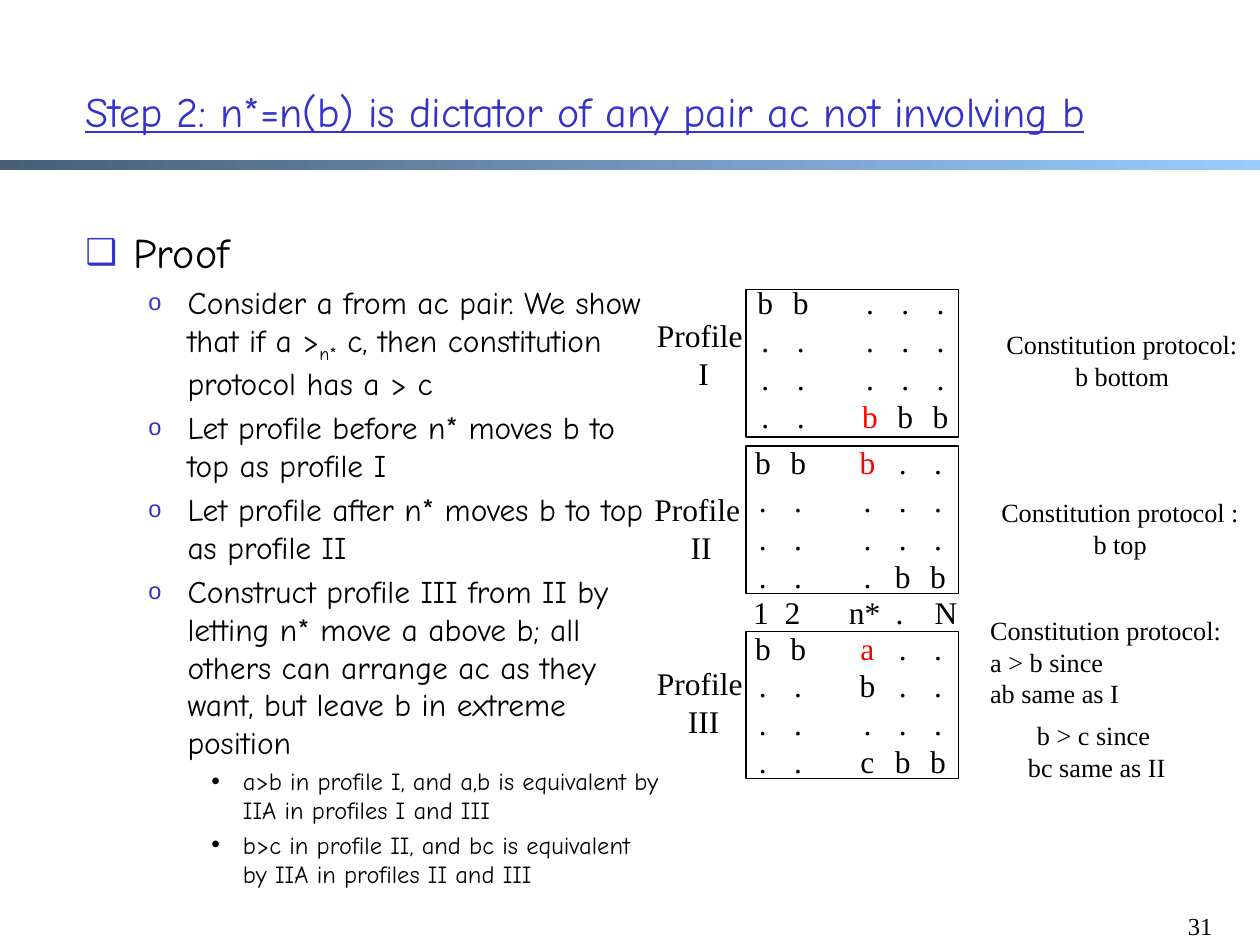
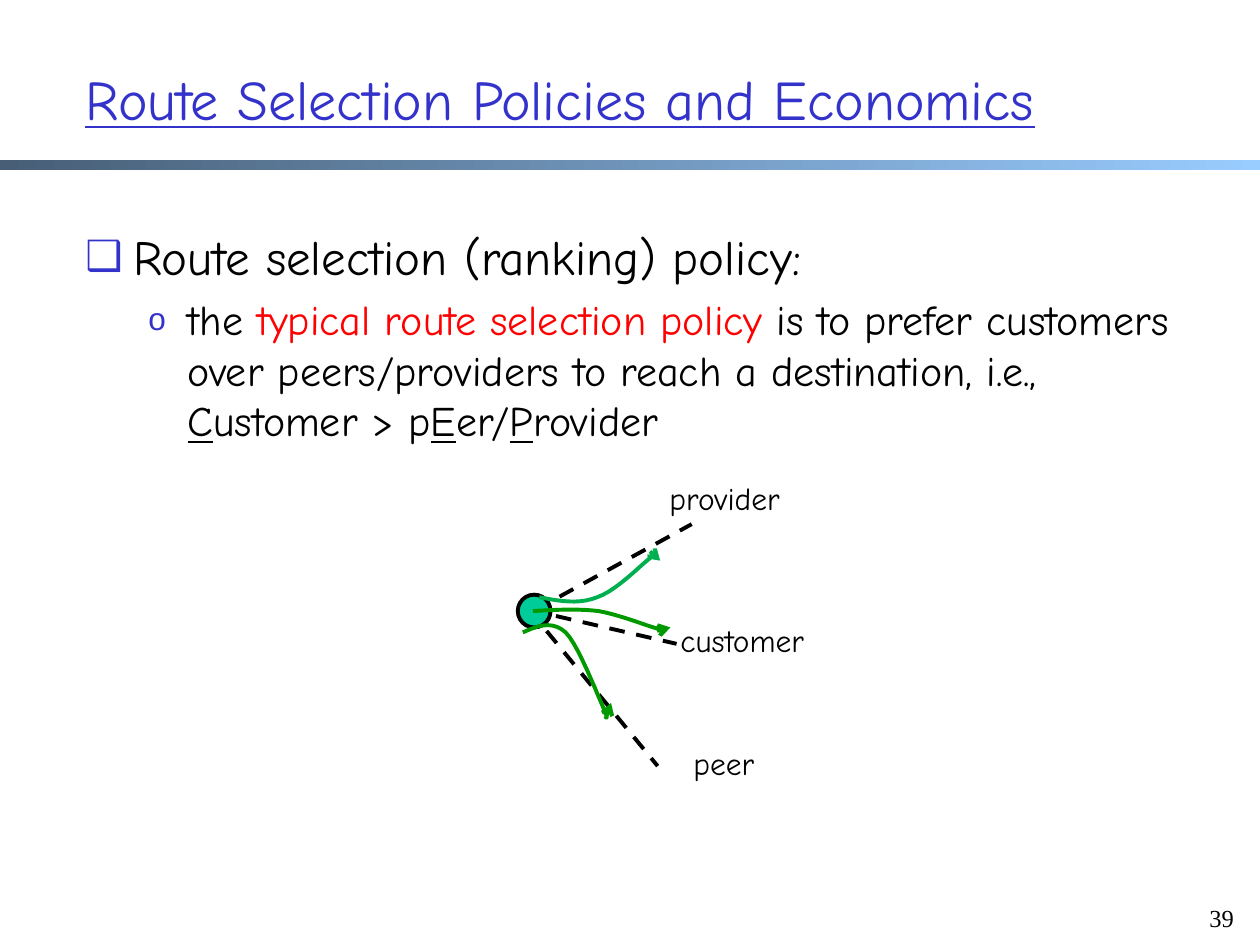
"""Build two lecture slides: a dictator proof and route selection policies."""
from lxml.etree import SubElement
from pptx import Presentation
from pptx.dml.color import RGBColor
from pptx.enum.dml import MSO_LINE
from pptx.enum.shapes import MSO_CONNECTOR, MSO_SHAPE
from pptx.enum.text import MSO_ANCHOR, MSO_AUTO_SIZE, PP_ALIGN
from pptx.oxml.ns import qn
from pptx.util import Inches, Pt

BLUE = RGBColor(0x33, 0x33, 0xCC)
BLACK = RGBColor(0, 0, 0)
RED = RGBColor(0xFF, 0, 0)
TEAL = RGBColor(0, 0xCC, 0x99)
GREEN = RGBColor(0, 0x99, 0)
LIGHT_GREEN = RGBColor(0, 0xB0, 0x50)
BAND_COLORS = (RGBColor(0x47, 0x5E, 0x76), RGBColor(0x99, 0xCC, 0xFF))
HAND, SERIF = "Comic Neue", "Times New Roman"
LEFT, CENTER, RIGHT = PP_ALIGN.LEFT, PP_ALIGN.CENTER, PP_ALIGN.RIGHT

BULLETS = [
    {"char": "❑", "margin": 0.38, "indent": -0.38, "percent": 85, "color": BLUE},
    {"char": "o", "margin": 0.81, "indent": -0.31, "percent": 75, "color": BLUE},
    {"char": "•", "margin": 1.25, "indent": -0.25, "percent": 100, "color": BLACK},
]

PROOF = [
    (0, 24, [("Proof", {})]),
    (1, 18, [("Consider a from ac pair. We show that if a >", {}),
             ("n*", {"baseline": -25}),
             (" c, then constitution protocol has a > c", {})]),
    (1, 18, [("Let profile before n* moves b to top as profile I", {})]),
    (1, 18, [("Let profile after n* moves b to top as profile II", {})]),
    (1, 18, [("Construct profile III from II by letting n* move a above b; all others "
              "can arrange ac as they want, but leave b in extreme position", {})]),
    (2, 14, [("a>b in profile I, and a,b is equivalent by IIA in profiles I and III", {})]),
    (2, 14, [("b>c in profile II, and bc is equivalent by IIA in profiles II and III", {})]),
]

POLICY = [
    (0, 28, [("Route selection (ranking) policy:", {})]),
    (1, 24, [("the ", {}),
             ("typical route selection policy", {"color": RED}),
             (" is to prefer customers over peers/providers to reach a destination, i.e., ", {}),
             ("C", {"underline": True}), ("ustomer > p", {}),
             ("E", {"underline": True}), ("er/", {}),
             ("P", {"underline": True}), ("rovider", {})]),
]

COLUMN_OFFSETS = (0, 0.28, 0.83, 1.11, 1.39)
PIVOT_COLUMN = 2
PROFILES = [
    {"name": "I", "label": (5.11, 2.46), "cells": (5.91, 2.2), "frame_top": 2.3,
     "columns": ("b...", "b...", "...b", "...b", "...b"), "red_row": 3},
    {"name": "II", "label": (5.09, 3.84), "cells": (5.89, 3.47), "frame_top": 3.54,
     "columns": ("b...", "b...", "b...", "...b", "...b"), "red_row": 0},
    {"name": "III", "label": (5.11, 5.22), "cells": (5.89, 4.94), "frame_top": 5.01,
     "columns": ("b...", "b...", "ab.c", "...b", "...b"), "red_row": 0},
]
VOTERS = "1\t2\tn*\t.\tN"
VOTER_TABS = (0.25, 0.76, 1.13, 1.44)
PROTOCOLS = [
    ((7.88, 2.56, 2.05, 0.61), CENTER, ("Constitution protocol:", "b bottom")),
    ((7.84, 3.89, 2.1, 0.61), CENTER, ("Constitution protocol :", "b top")),
    ((7.76, 4.83, 2.05, 0.86), LEFT,
     ("Constitution protocol:", "a > b since ", "ab same as I")),
    ((7.69, 5.66, 2.03, 0.61), CENTER, ("b > c since ", "bc same as II")),
]

LINKS = [((4.25, 4.84), (5.49, 4.16)), ((4.2, 4.84), (5.37, 5.11)), ((4.2, 4.84), (5.22, 6.08))]
NEIGHBORS = [("provider", (5.16, 3.75, 1.18, 0.4)), ("customer", (5.25, 4.88, 1.28, 0.4)),
             ("peer", (5.38, 5.86, 0.73, 0.4))]
ROUTES = [
    (GREEN, [(4.23, 4.85), (4.41, 4.84), (4.58, 4.83), (4.75, 4.85), (4.92, 4.88),
             (5.14, 4.97), (5.22, 4.99), (5.31, 5.02), (5.24, 5.01), (5.26, 5.01),
             (5.28, 5.01), (5.28, 4.99), (5.32, 4.98)]),
    (LIGHT_GREEN, [(4.28, 4.74), (4.44, 4.77), (4.59, 4.8), (4.74, 4.74), (4.89, 4.69),
                   (5.08, 4.49), (5.16, 4.43), (5.23, 4.37), (5.17, 4.39), (5.19, 4.39),
                   (5.2, 4.4), (5.21, 4.42), (5.24, 4.45)]),
    (GREEN, [(4.15, 5.02), (4.26, 4.97), (4.38, 4.92), (4.49, 5.02), (4.59, 5.12),
             (4.74, 5.51), (4.79, 5.62), (4.84, 5.73), (4.8, 5.69), (4.81, 5.69),
             (4.82, 5.68), (4.83, 5.63), (4.85, 5.58)]),
]
CURVE_STEPS = 10


def add_run(paragraph, text, size, font=SERIF, color=BLACK, underline=False, baseline=0):
    run = paragraph.add_run()
    run.text = text
    run.font.size, run.font.name = Pt(size), font
    run.font.color.rgb = color
    if underline:
        run.font.underline = True
    if baseline:
        run._r.get_or_add_rPr().set("baseline", str(baseline * 1000))


def add_frame(slide, box, wrap=True):
    frame = slide.shapes.add_textbox(*map(Inches, box)).text_frame
    frame.word_wrap = wrap
    return frame


def next_paragraph(frame, index):
    return frame.add_paragraph() if index else frame.paragraphs[0]


def add_label(slide, box, lines, size=18, font=SERIF, align=CENTER, wrap=False, red_row=None):
    frame = add_frame(slide, box, wrap)
    frame.auto_size = MSO_AUTO_SIZE.SHAPE_TO_FIT_TEXT
    for row, line in enumerate(lines):
        paragraph = next_paragraph(frame, row)
        paragraph.alignment = align
        add_run(paragraph, line, size, font, RED if row == red_row else BLACK)
    return frame


def set_bullet(paragraph, bullet):
    properties = paragraph._p.get_or_add_pPr()
    properties.set("marL", str(Inches(bullet["margin"])))
    properties.set("indent", str(Inches(bullet["indent"])))
    color = SubElement(properties, qn("a:buClr"))
    SubElement(color, qn("a:srgbClr"), val=str(bullet["color"]))
    SubElement(properties, qn("a:buSzPct"), val=str(bullet["percent"] * 1000))
    SubElement(properties, qn("a:buFont"), typeface="Arial")
    SubElement(properties, qn("a:buChar"), char=bullet["char"])


def add_body(slide, box, items):
    frame = add_frame(slide, box)
    for index, (level, size, runs) in enumerate(items):
        paragraph = next_paragraph(frame, index)
        set_bullet(paragraph, BULLETS[level])
        if index:
            paragraph.space_before = Pt(size * 0.2)
        for text, style in runs:
            add_run(paragraph, text, size, HAND, **style)


def add_outlined(slide, kind, box, width, fill=None):
    shape = slide.shapes.add_shape(kind, *map(Inches, box))
    shape.shadow.inherit = False
    if fill is None:
        shape.fill.background()
    else:
        shape.fill.solid()
        shape.fill.fore_color.rgb = fill
    shape.line.color.rgb = BLACK
    shape.line.width = Pt(width)


def add_base(presentation, title, title_top, title_size, number, number_box, number_align):
    slide = presentation.slides.add_slide(presentation.slide_layouts[6])
    band = slide.shapes.add_shape(MSO_SHAPE.RECTANGLE, 0, Inches(1.27), Inches(10), Inches(0.08))
    band.shadow.inherit = False
    band.line.fill.background()
    band.fill.gradient()
    band.fill.gradient_angle = 0
    for stop, color in zip(band.fill.gradient_stops, BAND_COLORS):
        stop.color.rgb = color
    frame = add_frame(slide, (0.58, title_top, 8.78, 1.25))
    frame.vertical_anchor = MSO_ANCHOR.MIDDLE
    add_run(frame.paragraphs[0], title, title_size, HAND, BLUE, underline=True)
    paragraph = add_frame(slide, number_box).paragraphs[0]
    paragraph.alignment = number_align
    add_run(paragraph, number, 14)
    return slide


def add_profile(slide, profile):
    left, top = profile["cells"]
    for index, (offset, column) in enumerate(zip(COLUMN_OFFSETS, profile["columns"])):
        red_row = profile["red_row"] if index == PIVOT_COLUMN else None
        add_label(slide, (left + offset, top, 0.33, 1.31), column, red_row=red_row)
    add_outlined(slide, MSO_SHAPE.RECTANGLE, (5.92, profile["frame_top"], 1.69, 1.17), 0.75)
    add_label(slide, (*profile["label"], 0.95, 0.71), ("Profile ", profile["name"]))


def add_voters(slide):
    frame = add_label(slide, (5.88, 4.66, 1.84, 0.4), (), wrap=True)
    paragraph = frame.paragraphs[0]
    tabs = SubElement(paragraph._p.get_or_add_pPr(), qn("a:tabLst"))
    for position in VOTER_TABS:
        SubElement(tabs, qn("a:tab"), pos=str(Inches(position)), algn="l")
    add_run(paragraph, VOTERS, 18)


def add_link(slide, start, end):
    link = slide.shapes.add_connector(MSO_CONNECTOR.STRAIGHT, *map(Inches, start + end))
    link.line.color.rgb = BLACK
    link.line.width = Pt(2.25)
    link.line.dash_style = MSO_LINE.DASH
    SubElement(link._element.spPr, qn("a:effectLst"))


def curve_points(controls):
    for start in range(0, len(controls) - 1, 3):
        corners = controls[start:start + 4]
        for step in range(1, CURVE_STEPS + 1):
            t = step / CURVE_STEPS
            weights = ((1 - t) ** 3, 3 * t * (1 - t) ** 2, 3 * t * t * (1 - t), t ** 3)
            yield tuple(Inches(sum(w * corner[axis] for w, corner in zip(weights, corners)))
                        for axis in (0, 1))


def add_route(slide, color, controls):
    builder = slide.shapes.build_freeform(*map(Inches, controls[0]))
    builder.add_line_segments(list(curve_points(controls)), close=False)
    route = builder.convert_to_shape()
    route.shadow.inherit = False
    route.fill.background()
    route.line.color.rgb = color
    route.line.width = Pt(2.25)
    SubElement(route.line._get_or_add_ln(), qn("a:tailEnd"), type="arrow")


def build_proof_slide(presentation):
    slide = add_base(presentation, "Step 2: n*=n(b) is dictator of any pair ac not involving b",
                     0.25, 24, "31", (9.25, 7.18, 0.47, 0.32), RIGHT)
    add_body(slide, (0.58, 1.75, 4.75, 5.75), PROOF)
    for profile in PROFILES:
        add_profile(slide, profile)
    add_voters(slide)
    for box, align, lines in PROTOCOLS:
        add_label(slide, box, lines, 15, align=align)


def build_policy_slide(presentation):
    slide = add_base(presentation, "Route Selection Policies and Economics",
                     0.15, 32, "39", (9.5, 7.12, 0.5, 0.38), LEFT)
    add_body(slide, (0.58, 1.75, 8.81, 5.31), POLICY)
    for start, end in LINKS:
        add_link(slide, start, end)
    for name, box in NEIGHBORS:
        add_label(slide, box, (name,), font=HAND)
    add_outlined(slide, MSO_SHAPE.OVAL, (4.11, 4.72, 0.26, 0.26), 2.25, TEAL)
    for color, controls in ROUTES:
        add_route(slide, color, controls)


def main():
    presentation = Presentation()
    presentation.slide_width, presentation.slide_height = Inches(10), Inches(7.5)
    build_proof_slide(presentation)
    build_policy_slide(presentation)
    presentation.save("out.pptx")


if __name__ == "__main__":
    main()
